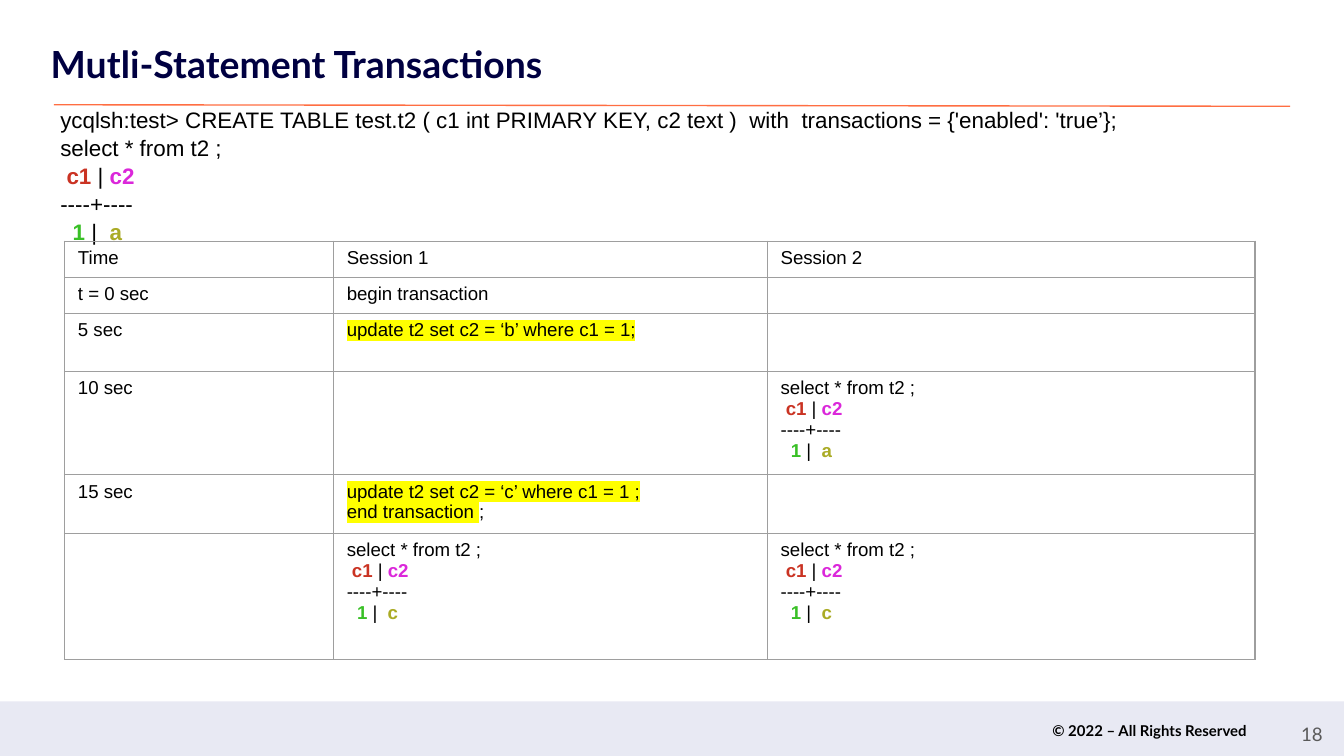
from dataclasses import dataclass

from pptx import Presentation
from pptx.dml.color import RGBColor
from pptx.enum.shapes import MSO_CONNECTOR, MSO_SHAPE
from pptx.enum.text import MSO_ANCHOR as Anchor, PP_ALIGN as Align
from pptx.oxml.ns import qn
from pptx.oxml.xmlchemy import OxmlElement
from pptx.util import Cm, Pt

BLACK = RGBColor(0x00, 0x00, 0x00)
NAVY = RGBColor(0x00, 0x00, 0x41)
GREY = RGBColor(0x59, 0x59, 0x59)
BORDER = RGBColor(0x9E, 0x9E, 0x9E)
LAVENDER = RGBColor(0xE8, 0xE9, 0xF3)
ORANGE = RGBColor(0xFF, 0x6E, 0x42)
RED = RGBColor(0xCA, 0x33, 0x23)
MAGENTA = RGBColor(0xDB, 0x27, 0xDA)
GREEN = RGBColor(0x39, 0xC0, 0x26)
OLIVE = RGBColor(0xAA, 0xAB, 0x25)
YELLOW = RGBColor(0xFF, 0xFF, 0x00)


@dataclass(frozen=True)
class Run:
    text: str
    color: RGBColor = BLACK
    bold: bool = False
    marked: bool = False


@dataclass(frozen=True)
class Label:
    text: str
    box: tuple[float, float, float, float]
    size: int
    color: RGBColor
    bold: bool
    align: Align
    anchor: Anchor


Lines = list[list[Run]]

LABELS = [
    Label("© 2022 – All Rights Reserved", (18.54, 13.36, 5.28, 0.91), 8, BLACK, True,
          Align.RIGHT, Anchor.MIDDLE),
    Label("Mutli-Statement Transactions", (0.71, 0.53, 23.98, 1.32), 20, NAVY, True,
          Align.LEFT, Anchor.TOP),
    Label("18", (24.28, 13.51, 0.97, 0.74), 10, GREY, False,
          Align.RIGHT, Anchor.MIDDLE),
]


def plain(text: str) -> Lines:
    return [[Run(text)]]


def query(value: str) -> Lines:
    """The select statement and its one-row result."""
    return [
        [Run("select * from t2 ;")],
        [Run(" "), Run("c1", RED, True), Run(" | "), Run("c2", MAGENTA, True)],
        [Run("----+----")],
        [Run("  "), Run("1", GREEN, True), Run(" |  "), Run(value, OLIVE, True)],
    ]


CREATE = plain("ycqlsh:test> CREATE TABLE test.t2 ( c1 int PRIMARY KEY, c2 text )  "
               "with  transactions = {'enabled': 'true’};")
COL_WIDTHS = [5.08, 8.2, 9.22]
ROW_HEIGHTS = [0.68, 0.68, 1.1, 1.95, 1.11, 2.38]
ROWS: list[list[Lines]] = [
    [plain("Time"), plain("Session 1"), plain("Session 2")],
    [plain("t = 0 sec"), plain("begin transaction"), []],
    [plain("5 sec"), [[Run("update t2 set c2 = ‘b’ where c1 = 1;", marked=True)]], []],
    [plain("10 sec"), [], query("a")],
    [plain("15 sec"),
     [[Run("update t2 set c2 = ‘c’ where c1 = 1 ;", marked=True)],
      [Run("end transaction ", marked=True), Run(";")]],
     []],
    [[], query("c"), query("c")],
]


def set_font(r, name: str, size: int, color: RGBColor, bold: bool) -> None:
    for key, value in {"name": name, "size": Pt(size), "bold": bold}.items():
        setattr(r.font, key, value)
    r.font.color.rgb = color


def color_element(tag: str, color: RGBColor):
    element = OxmlElement(tag)
    clr = OxmlElement("a:srgbClr")
    clr.set("val", str(color))
    element.append(clr)
    return element


def write_lines(tf, lines: Lines, size: int, spacing: float = 1.0) -> None:
    for i, runs in enumerate(lines):
        p = tf.add_paragraph() if i else tf.paragraphs[0]
        p.line_spacing = spacing
        for run in runs:
            r = p.add_run()
            r.text = run.text
            set_font(r, "Arial", size, run.color, run.bold)
            if run.marked:
                latin = r.font._element.find(qn("a:latin"))
                latin.addprevious(color_element("a:highlight", YELLOW))
    if not lines:
        end = OxmlElement("a:endParaRPr")
        end.set("sz", str(size * 100))
        tf.paragraphs[0]._p.append(end)


def add_label(s, label: Label) -> None:
    tf = s.shapes.add_textbox(*map(Cm, label.box)).text_frame
    margins = {f"margin_{side}": Cm(0.25) for side in ("left", "right", "top", "bottom")}
    fmt = {"word_wrap": True, "vertical_anchor": label.anchor, **margins}
    for key, value in fmt.items():
        setattr(tf, key, value)
    p = tf.paragraphs[0]
    p.alignment = label.align
    r = p.add_run()
    r.text = label.text
    set_font(r, "Lato", label.size, label.color, label.bold)


def add_borders(cell) -> None:
    tc_pr = cell._tc.get_or_add_tcPr()
    for i, side in enumerate("LRTB"):
        ln = OxmlElement(f"a:ln{side}")
        ln.set("w", str(Pt(0.75)))
        ln.append(color_element("a:solidFill", BORDER))
        tc_pr.insert(i, ln)


def add_timeline(s) -> None:
    frame = s.shapes.add_table(len(ROWS), len(COL_WIDTHS), Cm(1.22), Cm(4.56),
                               Cm(sum(COL_WIDTHS)), Cm(sum(ROW_HEIGHTS)))
    table = frame.table
    for key in ("first_row", "horz_banding"):
        setattr(table, key, False)
    for col, width in zip(table.columns, COL_WIDTHS):
        col.width = Cm(width)
    for row, height, contents in zip(table.rows, ROW_HEIGHTS, ROWS):
        row.height = Cm(height)
        for cell, lines in zip(row.cells, contents):
            cell.fill.background()
            add_borders(cell)
            write_lines(cell.text_frame, lines, 10)


def add_backdrop(s) -> None:
    """Footer band and the rule under the title."""
    band = s.shapes.add_shape(MSO_SHAPE.RECTANGLE, 0, Cm(13.26), Cm(25.4), Cm(1.03))
    band.shadow.inherit = False
    band.fill.solid()
    band.fill.fore_color.rgb = LAVENDER
    band.line.fill.background()
    rule = s.shapes.add_connector(MSO_CONNECTOR.STRAIGHT,
                                  Cm(1.02), Cm(1.98), Cm(24.38), Cm(2.01))
    rule.line.color.rgb = ORANGE
    rule.line.width = Pt(0.75)
    rule._element.spPr.append(OxmlElement("a:effectLst"))


def main() -> None:
    prs = Presentation()
    prs.slide_width, prs.slide_height = Cm(25.4), Cm(14.29)
    s = prs.slides.add_slide(prs.slide_layouts[6])
    add_backdrop(s)
    for label in LABELS:
        add_label(s, label)
    tf = s.shapes.add_textbox(Cm(0.89), Cm(1.85), Cm(21.56), Cm(8.46)).text_frame
    tf.word_wrap = True
    write_lines(tf, CREATE + query("a"), 12, 1.05)
    add_timeline(s)
    prs.save("out.pptx")


if __name__ == "__main__":
    main()
